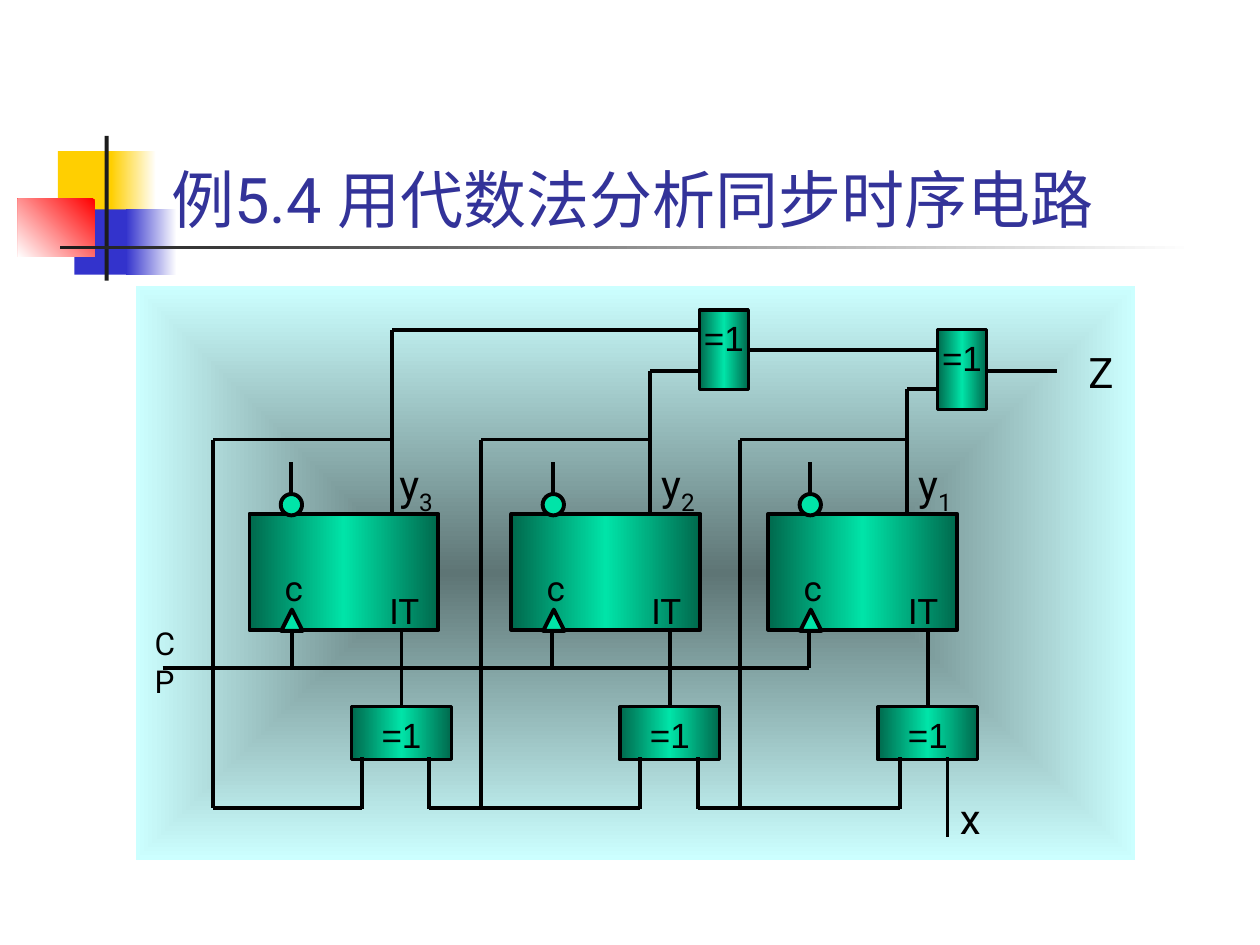
from dataclasses import dataclass

from lxml.etree import SubElement
from pptx import Presentation
from pptx.dml.color import RGBColor
from pptx.enum.shapes import MSO_CONNECTOR, MSO_SHAPE
from pptx.enum.text import MSO_ANCHOR, MSO_AUTO_SIZE, PP_ALIGN
from pptx.oxml.ns import qn
from pptx.util import Cm, Pt

BLACK = RGBColor(0x00, 0x00, 0x00)
WHITE = RGBColor(0xFF, 0xFF, 0xFF)
CHARCOAL = RGBColor(0x1C, 0x1C, 0x1C)
YELLOW = RGBColor(0xFF, 0xCF, 0x01)
BLUE = RGBColor(0x33, 0x33, 0xCC)
RED = RGBColor(0xFF, 0x00, 0x00)
TITLE_BLUE = RGBColor(0x33, 0x33, 0x99)
GREEN = RGBColor(0x00, 0xE4, 0xA8)
DARK_GREEN = RGBColor(0x00, 0x69, 0x4D)
SLATE = RGBColor(0x5E, 0x75, 0x75)
PALE_CYAN = RGBColor(0xCC, 0xFF, 0xFF)


@dataclass
class Gradient:
    """Evenly spaced colours along an angle, or outwards from the centre."""
    colors: tuple[RGBColor, ...]
    angle: int | None = 180


Fill = RGBColor | Gradient
METAL = Gradient((DARK_GREEN, GREEN, DARK_GREEN))


@dataclass
class Block:
    left: float
    top: float
    width: float
    height: float
    fill: Fill


@dataclass
class Stage:
    """One flip-flop with its input gate; all positions are x values in cm."""
    digit: str
    left: float
    output: float
    output_top: float
    feedback: float
    clock: float
    gate: float
    gate_in: float
    gate_in2: float
    in2_bottom: float = 16.31


ORNAMENTS = [
    Block(1.17, 3.05, 1.22, 1.32, YELLOW),
    Block(2.24, 3.05, 0.91, 1.32, Gradient((WHITE, YELLOW))),
    Block(1.5, 4.22, 1.17, 1.32, BLUE),
    Block(2.54, 4.22, 1.02, 1.32, Gradient((WHITE, BLUE))),
    Block(0.36, 4.01, 1.55, 1.17, Gradient((RED, WHITE), 135)),
    Block(2.11, 2.74, 0.08, 2.92, CHARCOAL),
    Block(1.22, 4.95, 22.86, 0.08, Gradient((WHITE, CHARCOAL))),
]
PANEL = Block(2.74, 5.77, 20.14, 11.56, Gradient((SLATE, PALE_CYAN), None))
STAGES = [
    Stage("3", 5.03, 7.9, 6.65, 4.29, 5.89, 7.09, 7.29, 8.64),
    Stage("2", 10.31, 13.11, 7.47, 9.7, 11.13, 12.5, 12.9, 14.07),
    Stage("1", 15.49, 18.29, 7.85, 14.91, 16.31, 17.7, 18.14, 19.1, 16.87),
]
OUTPUT_GATES = [Block(14.1, 6.25, 0.99, 1.6, METAL),
                Block(18.9, 6.65, 0.99, 1.6, METAL)]
FEEDBACK_Y, CLOCK_Y, LOWER_Y = 8.86, 13.46, 16.28
BOX_TOP, BOX_W, BOX_H = 10.36, 3.81, 2.34
BOX_BOTTOM = BOX_TOP + BOX_H
GATE_TOP, GATE_W, GATE_H = 14.25, 2.01, 1.07


def set_gradient(sp, gradient: Gradient) -> None:
    sp.fill.gradient()
    grad = sp.element.spPr.find(qn("a:gradFill"))
    for child in list(grad):
        grad.remove(child)
    stops = SubElement(grad, qn("a:gsLst"))
    last = len(gradient.colors) - 1
    for i, color in enumerate(gradient.colors):
        gs = SubElement(stops, qn("a:gs"), pos=str(100000 * i // last))
        SubElement(gs, qn("a:srgbClr"), val=str(color))
    if gradient.angle is None:
        center = SubElement(grad, qn("a:path"), path="rect")
        SubElement(center, qn("a:fillToRect"),
                   {side: "50000" for side in "ltrb"})
    else:
        SubElement(grad, qn("a:lin"), ang=str(gradient.angle * 60000), scaled="0")


def add_block(s, block: Block, line_pt: float = 0, kind=MSO_SHAPE.RECTANGLE):
    sp = s.shapes.add_shape(kind, Cm(block.left), Cm(block.top),
                            Cm(block.width), Cm(block.height))
    sp.shadow.inherit = False
    if isinstance(block.fill, Gradient):
        set_gradient(sp, block.fill)
    else:
        sp.fill.solid()
        sp.fill.fore_color.rgb = block.fill
    if line_pt:
        sp.line.color.rgb = BLACK
        sp.line.width = Pt(line_pt)
    else:
        sp.line.fill.background()
    return sp


def add_run(p, text: str, size: float, color=BLACK, font: str = "Roboto"):
    r = p.add_run()
    r.text = text
    r.font.size = Pt(size)
    r.font.name = font
    r.font.color.rgb = color
    return r


def add_label(s, text: str, left: float, top: float, width: float,
              height: float, size: float, sub: str = "", wrap: bool = False) -> None:
    sp = s.shapes.add_textbox(Cm(left), Cm(top), Cm(width), Cm(height))
    tf = sp.text_frame
    tf.word_wrap = wrap
    tf.auto_size = MSO_AUTO_SIZE.NONE if wrap else MSO_AUTO_SIZE.SHAPE_TO_FIT_TEXT
    p = tf.paragraphs[0]
    add_run(p, text, size)
    if sub:
        r = add_run(p, sub, size)
        r.font._element.set("baseline", "-25000")


def add_wire(s, x1: float, y1: float, x2: float, y2: float) -> None:
    line = s.shapes.add_connector(MSO_CONNECTOR.STRAIGHT,
                                  Cm(x1), Cm(y1), Cm(x2), Cm(y2))
    line.line.color.rgb = BLACK
    line.line.width = Pt(2.25)
    SubElement(line.element.spPr, qn("a:effectLst"))


def add_xor_gate(s, block: Block) -> None:
    tf = add_block(s, block, 1.75).text_frame
    tf.word_wrap = False
    tf.vertical_anchor = MSO_ANCHOR.TOP
    p = tf.paragraphs[0]
    p.alignment = PP_ALIGN.CENTER
    add_run(p, "=1", 20, font="Arial")


def add_stage(s, st: Stage) -> None:
    x = st.left
    gate_mid = st.gate + GATE_W / 2
    add_label(s, "y", x + 2.77, 9.12, 1.22, 1.42, 24, sub=st.digit)
    add_block(s, Block(x, BOX_TOP, BOX_W, BOX_H, METAL), 2.25)
    add_wire(s, x + 0.84, 9.32, x + 0.84, 10.19)
    add_wire(s, st.output, st.output_top, st.output, BOX_TOP)
    add_block(s, Block(x + 0.63, 9.96, 0.43, 0.43, GREEN), 2.25, MSO_SHAPE.OVAL)
    add_block(s, Block(x + 0.64, 12.29, 0.43, 0.43, GREEN), 2.25,
              MSO_SHAPE.ISOSCELES_TRIANGLE)
    add_label(s, "IT", x + 2.57, 11.76, 1.14, 1.12, 20)
    add_label(s, "c", x + 0.46, 11.3, 0.84, 1.12, 20)
    add_wire(s, st.clock, BOX_BOTTOM, st.clock, CLOCK_Y)
    add_wire(s, gate_mid, BOX_BOTTOM, gate_mid, GATE_TOP)
    add_wire(s, st.output, FEEDBACK_Y, st.feedback, FEEDBACK_Y)
    add_wire(s, st.feedback, FEEDBACK_Y, st.feedback, LOWER_Y)
    add_xor_gate(s, Block(st.gate, GATE_TOP, GATE_W, GATE_H, METAL))
    add_wire(s, st.gate_in, 15.27, st.gate_in, 16.31)
    add_wire(s, st.gate_in2, 15.27, st.gate_in2, st.in2_bottom)


def add_title(s, text: str) -> None:
    title = s.shapes.title
    title.element.getparent().append(title.element)  # in front of the ornaments
    title.left, title.top, title.width, title.height = (
        Cm(3.2), Cm(1.7), Cm(21.64), Cm(3.18))
    tf = title.text_frame
    tf.auto_size = MSO_AUTO_SIZE.NONE
    tf.vertical_anchor = MSO_ANCHOR.BOTTOM
    p = tf.paragraphs[0]
    p.alignment = PP_ALIGN.LEFT
    add_run(p, text, 36, TITLE_BLUE)


def main() -> None:
    prs = Presentation()
    prs.slide_width, prs.slide_height = Cm(25.4), Cm(19.05)
    s = prs.slides.add_slide(prs.slide_layouts[5])
    for ornament in ORNAMENTS:
        add_block(s, ornament)
    add_title(s, "例5.4 用代数法分析同步时序电路")
    add_block(s, PANEL)
    for stage in STAGES:
        add_stage(s, stage)

    add_wire(s, STAGES[0].feedback, LOWER_Y, STAGES[0].gate_in, LOWER_Y)
    for stage, following in zip(STAGES, STAGES[1:]):
        add_wire(s, stage.gate_in2, LOWER_Y, following.gate_in, LOWER_Y)
    add_wire(s, 3.28, CLOCK_Y, STAGES[-1].clock, CLOCK_Y)

    first, second = OUTPUT_GATES
    for gate in OUTPUT_GATES:
        add_xor_gate(s, gate)
    for stage, gate in zip(STAGES, (first, first, second)):
        add_wire(s, gate.left, stage.output_top, stage.output, stage.output_top)
    add_wire(s, first.left + first.width, 7.06, second.left, 7.06)
    add_wire(s, second.left + second.width, 7.47, 21.31, 7.47)

    add_label(s, "Z", 21.69, 6.86, 0.99, 1.27, 24)
    add_label(s, "x", 19.1, 15.85, 0.94, 1.27, 24)
    add_label(s, "CP", 2.87, 12.45, 1.3, 1.02, 18, wrap=True)
    prs.save("out.pptx")


if __name__ == "__main__":
    main()
